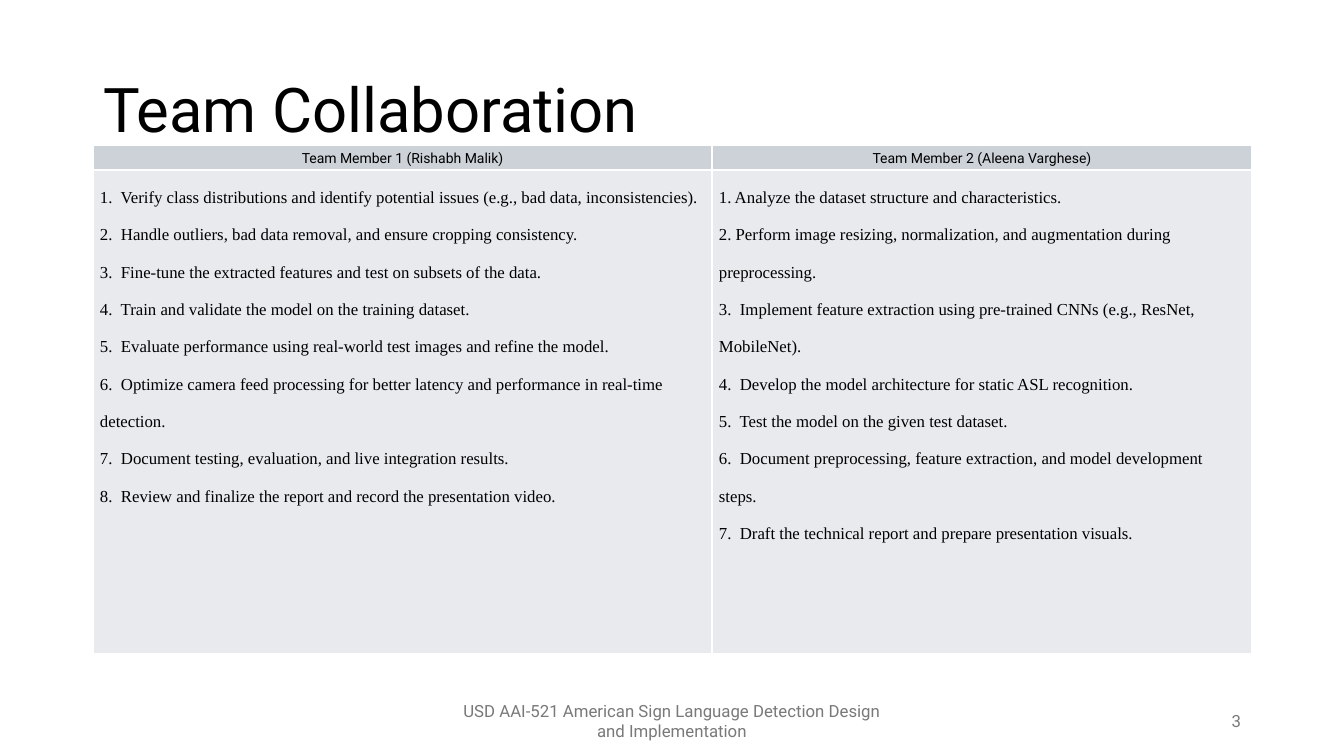
from lxml import etree
from pptx import Presentation
from pptx.dml.color import RGBColor
from pptx.enum.text import MSO_ANCHOR, MSO_AUTO_SIZE, PP_ALIGN
from pptx.oxml.ns import qn
from pptx.util import Emu, Pt

SCALE = 914400 / 100.8
LEFT, CENTER, RIGHT = PP_ALIGN.LEFT, PP_ALIGN.CENTER, PP_ALIGN.RIGHT
TOP, MIDDLE = MSO_ANCHOR.TOP, MSO_ANCHOR.MIDDLE
NO_AUTOFIT = MSO_AUTO_SIZE.NONE

BLACK = RGBColor(0x00, 0x00, 0x00)
GRAY = RGBColor(0x79, 0x79, 0x79)
HEADER_FILL = RGBColor(0xCC, 0xD2, 0xD8)
BODY_FILL = RGBColor(0xE8, 0xEA, 0xED)

TITLE_FONT = {"name": "Roboto", "size": Pt(44), "bold": False, "color": BLACK}
FOOTER_FONT = {"name": "Roboto", "size": Pt(12), "bold": False, "color": GRAY}
HEADER_FONT = {"name": "Roboto", "size": Pt(10), "bold": False, "color": BLACK}
TASK_FONT = {"name": "Times New Roman", "size": Pt(12), "bold": False, "color": BLACK}

MEMBERS = {
    "Team Member 1 (Rishabh Malik)": [
        "1.  Verify class distributions and identify potential issues (e.g., bad data, inconsistencies).",
        "2.  Handle outliers, bad data removal, and ensure cropping consistency.",
        "3.  Fine-tune the extracted features and test on subsets of the data.",
        "4.  Train and validate the model on the training dataset.",
        "5.  Evaluate performance using real-world test images and refine the model.",
        "6.  Optimize camera feed processing for better latency and performance in real-time detection.",
        "7.  Document testing, evaluation, and live integration results.",
        "8.  Review and finalize the report and record the presentation video.",
    ],
    "Team Member 2 (Aleena Varghese)": [
        "1. Analyze the dataset structure and characteristics.",
        "2. Perform image resizing, normalization, and augmentation during preprocessing.",
        "3.  Implement feature extraction using pre-trained CNNs (e.g., ResNet, MobileNet).",
        "4.  Develop the model architecture for static ASL recognition.",
        "5.  Test the model on the given test dataset.",
        "6.  Document preprocessing, feature extraction, and model development steps.",
        "7.  Draft the technical report and prepare presentation visuals.",
    ],
}


def px(n):
    return Emu(round(n * SCALE))


def write(tf, lines, font, align, spacing):
    """Fill a text frame with one formatted paragraph per line."""
    for i, line in enumerate(lines):
        p = tf.add_paragraph() if i else tf.paragraphs[0]
        p.alignment, p.line_spacing = align, spacing
        r = p.add_run()
        r.text = line
        for key, value in font.items():
            if key == "color":
                r.font.color.rgb = value
            else:
                setattr(r.font, key, value)


prs = Presentation()
prs.slide_width, prs.slide_height = px(1344), px(756)
s = prs.slides.add_slide(prs.slide_layouts[5])

# Title
title = s.shapes.title
title.left, title.top, title.width, title.height = px(93), px(40), px(1159), px(146)
tf = title.text_frame
tf.auto_size, tf.word_wrap, tf.vertical_anchor = NO_AUTOFIT, True, MIDDLE
write(tf, ["Team Collaboration"], TITLE_FONT, LEFT, 0.9)

# Footer and slide number
for left, width, text, align in [
    (445, 454, "USD AAI-521 American Sign Language Detection Design and Implementation", CENTER),
    (949, 302, "3", RIGHT),
]:
    sp = s.shapes.add_textbox(px(left), px(701), px(width), px(40))
    tf = sp.text_frame
    tf.word_wrap, tf.vertical_anchor = True, MIDDLE
    write(tf, [text], FOOTER_FONT, align, 1.0)

# Task table
table = s.shapes.add_table(2, 2, px(93), px(145), px(1159), px(509)).table
for col, width in zip(table.columns, (619, 540)):
    col.width = px(width)
for row, height in zip(table.rows, (25, 484)):
    row.height = px(height)

for c, (member, tasks) in enumerate(MEMBERS.items()):
    for r, (lines, font, align, spacing, anchor, fill) in enumerate([
        ([member], HEADER_FONT, CENTER, 1.15, MIDDLE, HEADER_FILL),
        (tasks, TASK_FONT, LEFT, 2.0, TOP, BODY_FILL),
    ]):
        cell = table.cell(r, c)
        cell.margin_left = cell.margin_right = px(7)
        cell.margin_top = cell.margin_bottom = 0
        cell.vertical_anchor = anchor
        tcPr = cell._tc.get_or_add_tcPr()
        for side in ("a:lnL", "a:lnR", "a:lnT", "a:lnB"):
            ln = etree.SubElement(tcPr, qn(side), w=str(Pt(1)))
            line_fill = etree.SubElement(ln, qn("a:solidFill"))
            etree.SubElement(line_fill, qn("a:srgbClr"), val="FFFFFF")
        cell.fill.solid()
        cell.fill.fore_color.rgb = fill
        write(cell.text_frame, lines, font, align, spacing)

prs.save("out.pptx")
